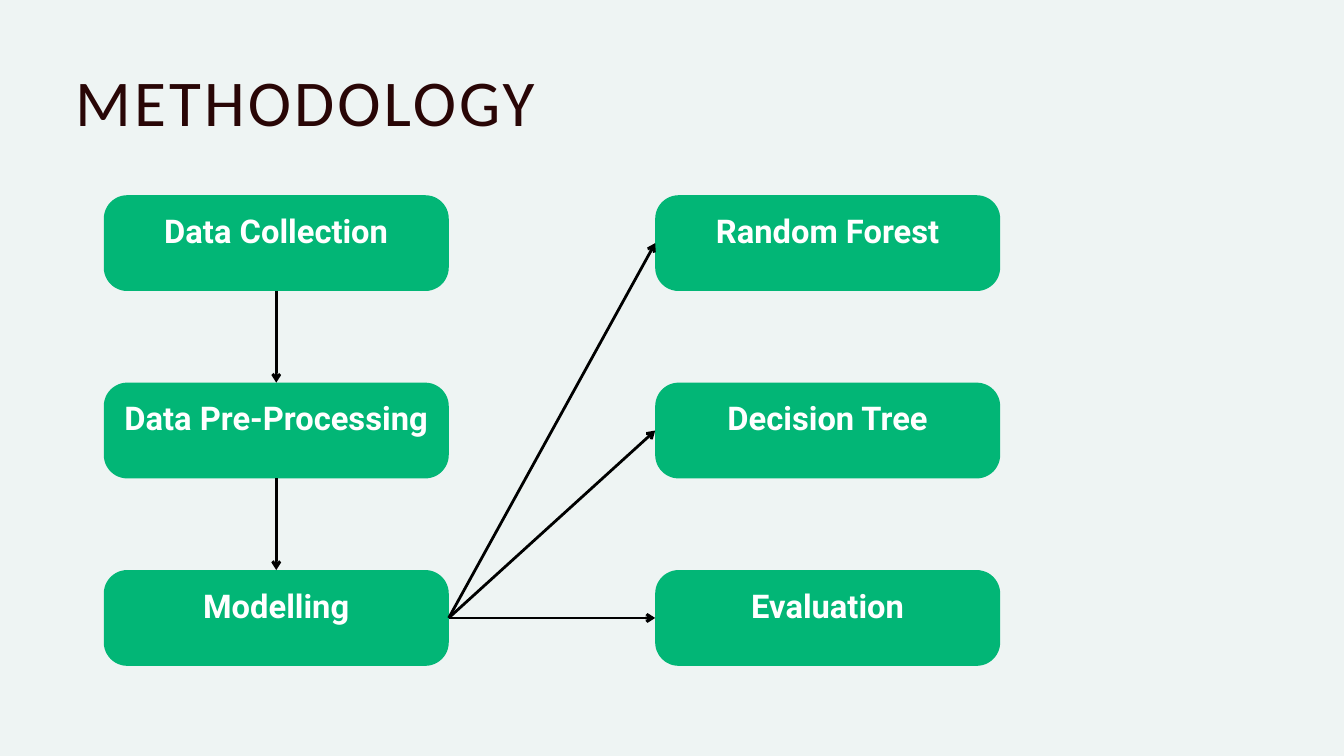
from dataclasses import dataclass
from typing import Any

from lxml.etree import SubElement
from pptx import Presentation
from pptx.dml.color import RGBColor
from pptx.enum.shapes import MSO_CONNECTOR, MSO_SHAPE
from pptx.enum.text import MSO_ANCHOR as Anchor, MSO_AUTO_SIZE as AutoSize, PP_ALIGN as Align
from pptx.oxml.ns import qn
from pptx.util import Pt

COLOURS = {"background": "EEF4F3", "title": "290606", "box": "02B676",
           "label": "FFFFFF", "arrow": "000000"}

# Grid of boxes, in points
COLUMN_LEFTS = (111.2, 702)
FIRST_TOP, ROW_PITCH = 209.2, 200.8
BOX_WIDTH, BOX_HEIGHT, CORNER_RADIUS = 369.6, 102.6, 25.1

# Connection sites of a rectangle
TOP, LEFT, BOTTOM, RIGHT = range(4)


@dataclass(frozen=True)
class Step:
    label: str
    column: int
    row: int


@dataclass(frozen=True)
class Arrow:
    start: str
    start_site: int
    end: str
    end_site: int


STEPS = [
    Step("Data Collection", 0, 0),
    Step("Data Pre-Processing", 0, 1),
    Step("Modelling", 0, 2),
    Step("Random Forest", 1, 0),
    Step("Decision Tree", 1, 1),
    Step("Evaluation", 1, 2),
]
ARROWS = [
    Arrow("Data Collection", BOTTOM, "Data Pre-Processing", TOP),
    Arrow("Data Pre-Processing", BOTTOM, "Modelling", TOP),
    *(Arrow("Modelling", RIGHT, model, LEFT)
      for model in ("Decision Tree", "Evaluation", "Random Forest")),
]

TITLE_PLACE = {"left": Pt(80.6), "top": Pt(79.9), "width": Pt(639.4), "height": Pt(84.2)}
TITLE_FRAME = {"margin_left": 0, "margin_top": 0, "margin_right": 0, "margin_bottom": 0,
               "vertical_anchor": Anchor.TOP, "word_wrap": True, "auto_size": AutoSize.NONE}
TITLE_PARAGRAPH = {"alignment": Align.LEFT, "line_spacing": Pt(70)}
TITLE_FONT = {"name": "Calibri", "size": Pt(70), "bold": False}

# The deep bottom margin lifts the label above the middle of its box
LABEL_FRAME = {"margin_left": Pt(4.3), "margin_top": 0, "margin_right": Pt(4.3),
               "margin_bottom": Pt(34.2), "vertical_anchor": Anchor.MIDDLE, "word_wrap": True}
LABEL_PARAGRAPH = {"alignment": Align.CENTER, "line_spacing": Pt(49)}
LABEL_FONT = {"name": "Roboto", "size": Pt(35), "bold": True}


def colour(name: str) -> RGBColor:
    return RGBColor.from_string(COLOURS[name])


def apply_format(target: Any, values: dict[str, Any]) -> None:
    for name, value in values.items():
        setattr(target, name, value)


def write_text(shape: Any, text: str, frame_format: dict, paragraph_format: dict,
               font_format: dict, colour_name: str) -> Any:
    frame = shape.text_frame
    apply_format(frame, frame_format)
    paragraph = frame.paragraphs[0]
    apply_format(paragraph, paragraph_format)
    run = paragraph.add_run()
    run.text = text
    apply_format(run.font, font_format)
    run.font.color.rgb = colour(colour_name)
    return run


def add_title(slide: Any, text: str) -> None:
    title = slide.shapes.title
    apply_format(title, TITLE_PLACE)
    run = write_text(title, text, TITLE_FRAME, TITLE_PARAGRAPH, TITLE_FONT, "title")
    run.font._element.set("spc", "340")  # letter spacing


def add_step(slide: Any, step: Step) -> Any:
    box = slide.shapes.add_shape(
        MSO_SHAPE.ROUNDED_RECTANGLE,
        Pt(COLUMN_LEFTS[step.column]), Pt(FIRST_TOP + step.row * ROW_PITCH),
        Pt(BOX_WIDTH), Pt(BOX_HEIGHT))
    box.adjustments[0] = CORNER_RADIUS / BOX_HEIGHT
    box.shadow.inherit = False
    box.fill.solid()
    box.fill.fore_color.rgb = colour("box")
    box.line.fill.background()
    write_text(box, step.label, LABEL_FRAME, LABEL_PARAGRAPH, LABEL_FONT, "label")
    return box


def add_arrow(slide: Any, arrow: Arrow, boxes: dict[str, Any]) -> None:
    connector = slide.shapes.add_connector(MSO_CONNECTOR.STRAIGHT, 0, 0, 0, 0)
    connector.begin_connect(boxes[arrow.start], arrow.start_site)
    connector.end_connect(boxes[arrow.end], arrow.end_site)
    connector.line.width = Pt(3)
    connector.line.color.rgb = colour("arrow")
    # Arrowhead, and no shadow
    SubElement(connector.line._get_or_add_ln(), qn("a:tailEnd"), type="arrow")
    SubElement(connector._element.spPr, qn("a:effectLst"))


def main() -> None:
    presentation = Presentation()
    presentation.slide_width, presentation.slide_height = Pt(1440), Pt(810)
    slide = presentation.slides.add_slide(presentation.slide_layouts[5])  # title only
    slide.background.fill.solid()
    slide.background.fill.fore_color.rgb = colour("background")

    add_title(slide, "METHODOLOGY")
    boxes = {step.label: add_step(slide, step) for step in STEPS}
    for arrow in ARROWS:
        add_arrow(slide, arrow, boxes)

    presentation.save("out.pptx")


if __name__ == "__main__":
    main()
